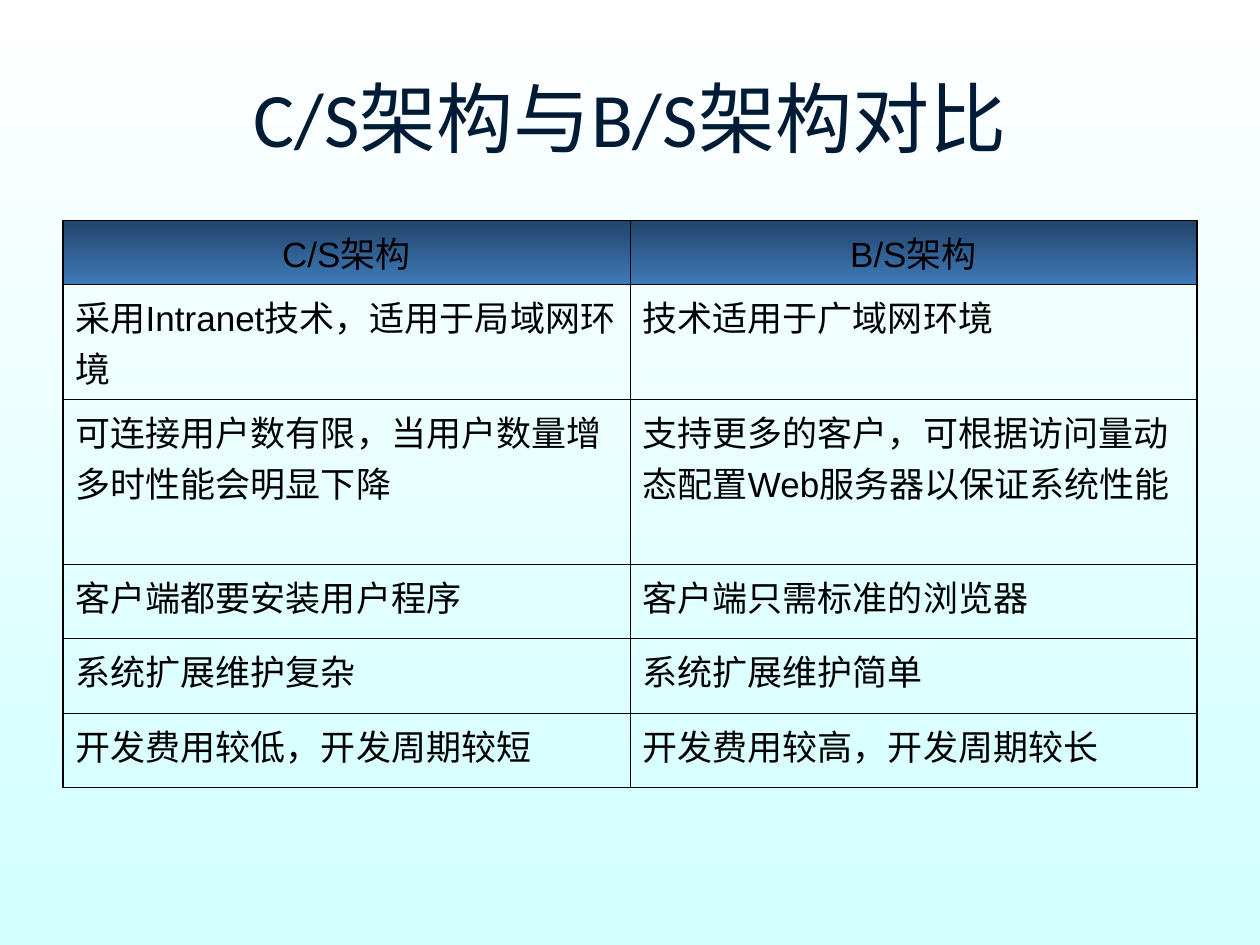
import pptx
import pptx.dml.color
import pptx.enum.text
import pptx.oxml.ns
import pptx.util
from lxml import etree
from pptx.util import Inches

RGBColor = pptx.dml.color.RGBColor
WHITE = RGBColor(0xFF, 0xFF, 0xFF)
PALE_CYAN = RGBColor(0xD2, 0xFF, 0xFF)
NAVY = RGBColor(0x00, 0x1B, 0x36)
HEADER_TOP = RGBColor(0x21, 0x44, 0x6A)
HEADER_BOTTOM = RGBColor(0x3F, 0x7A, 0xB9)
BLACK = RGBColor(0x00, 0x00, 0x00)
OUTER_LINE = pptx.util.Pt(1.08)
INNER_LINE = pptx.util.Pt(0.45)
CENTER = pptx.enum.text.PP_ALIGN.CENTER

COMPARISON = [
    ("C/S架构", "B/S架构"),
    ("采用Intranet技术，适用于局域网环境", "技术适用于广域网环境"),
    ("可连接用户数有限，当用户数量增多时性能会明显下降",
     "支持更多的客户，可根据访问量动态配置Web服务器以保证系统性能"),
    ("客户端都要安装用户程序", "客户端只需标准的浏览器"),
    ("系统扩展维护复杂", "系统扩展维护简单"),
    ("开发费用较低，开发周期较短", "开发费用较高，开发周期较长"),
]
ROW_HEIGHTS = [0.51, 0.91, 1.31, 0.59, 0.59, 0.59]


def fill_downward(fill, top, bottom):
    """Fill with a gradient that runs from top to bottom."""
    fill.gradient()
    fill.gradient_angle = 270
    for stop, color in zip(fill.gradient_stops, (top, bottom)):
        stop.color.rgb = color


def add_borders(cell, widths):
    """Draw the left, right, top and bottom cell borders, in that order."""
    properties = cell._tc.get_or_add_tcPr()
    for position, (side, width) in enumerate(zip("LRTB", widths)):
        line = etree.Element(pptx.oxml.ns.qn(f"a:ln{side}"), w=str(int(width)))
        solid = etree.SubElement(line, pptx.oxml.ns.qn("a:solidFill"))
        etree.SubElement(solid, pptx.oxml.ns.qn("a:srgbClr"), val=str(BLACK))
        properties.insert(position, line)


presentation = pptx.Presentation()
presentation.slide_width = Inches(10)
presentation.slide_height = Inches(7.5)
slide = presentation.slides.add_slide(presentation.slide_layouts[6])
fill_downward(slide.background.fill, WHITE, PALE_CYAN)

title = slide.shapes.add_textbox(Inches(0.5), Inches(0.3), Inches(9), Inches(1.25))
title.text_frame.word_wrap = True
title.text_frame.vertical_anchor = pptx.enum.text.MSO_ANCHOR.MIDDLE
heading = title.text_frame.paragraphs[0]
heading.alignment = CENTER
heading_run = heading.add_run()
heading_run.text = "C/S架构与B/S架构对比"
heading_run.font.size = pptx.util.Pt(44)
heading_run.font.name = "Calibri"
heading_run.font.color.rgb = NAVY

last_row = len(COMPARISON) - 1
table = slide.shapes.add_table(
    len(COMPARISON), 2, Inches(0.5), Inches(1.75), Inches(9), Inches(sum(ROW_HEIGHTS))
).table
table.first_row = False
table.horz_banding = False

for row, (height, statements) in enumerate(zip(ROW_HEIGHTS, COMPARISON)):
    table.rows[row].height = Inches(height)
    for column, statement in enumerate(statements):
        cell = table.cell(row, column)
        paragraph = cell.text_frame.paragraphs[0]
        run = paragraph.add_run()
        run.text = statement
        run.font.size = pptx.util.Pt(20)
        run.font.name = "Arial"
        run.font.color.rgb = BLACK
        if row == 0:
            paragraph.alignment = CENTER
            fill_downward(cell.fill, HEADER_TOP, HEADER_BOTTOM)
        else:
            cell.fill.background()
        on_edge = (column == 0, column == 1, row == 0, row == last_row)
        add_borders(cell, [OUTER_LINE if edge else INNER_LINE for edge in on_edge])

presentation.save("out.pptx")
